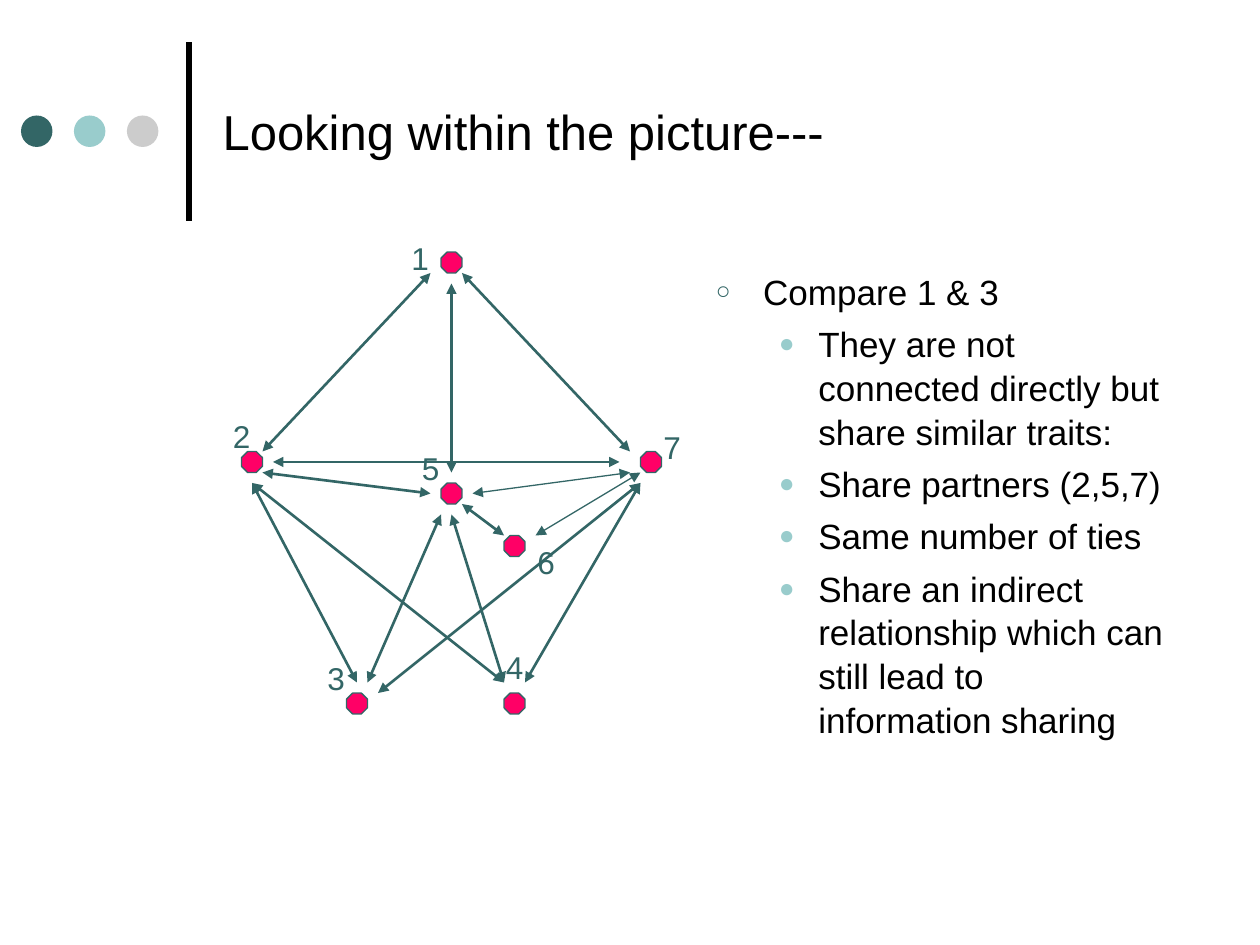
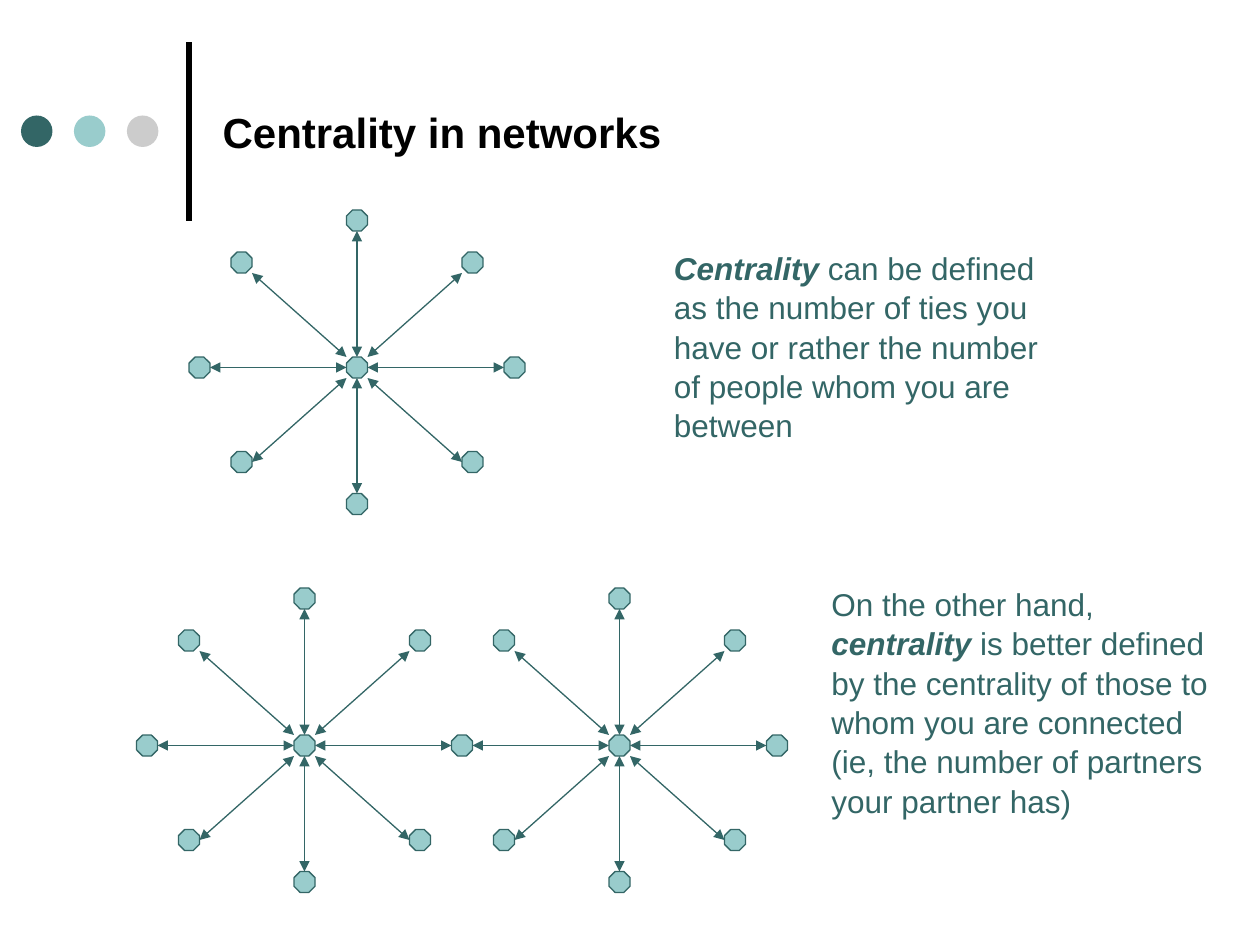
from lxml import etree
from pptx import Presentation
from pptx.dml.color import RGBColor
from pptx.enum.shapes import MSO_CONNECTOR, MSO_SHAPE
from pptx.enum.text import MSO_ANCHOR, PP_ALIGN
from pptx.oxml.ns import qn
from pptx.util import Pt

BLACK = RGBColor(0x00, 0x00, 0x00)
TEAL = RGBColor(0x33, 0x66, 0x66)
AQUA = RGBColor(0x99, 0xCC, 0xCC)
GREY = RGBColor(0xCC, 0xCC, 0xCC)
PINK = RGBColor(0xFF, 0x00, 0x66)
OVAL, OCTAGON = MSO_SHAPE.OVAL, MSO_SHAPE.OCTAGON
STRAIGHT = MSO_CONNECTOR.STRAIGHT
MIDDLE, LEFT = MSO_ANCHOR.MIDDLE, PP_ALIGN.LEFT
FONT = "Arial"
NODE = 12
HALF = NODE / 2
THIN, THICK = 0.75, 1.5

TITLES = [("Looking within the picture---", 28, False),
          ("Centrality in networks", 24, True)]

NOTES = [
    (0, "Compare 1 & 3"),
    (1, "They are not connected directly but share similar traits:"),
    (1, "Share partners (2,5,7)"),
    (1, "Same number of ties"),
    (1, "Share an indirect relationship which can still lead to information sharing"),
]
BULLETS = [("○", TEAL, 70, 27, 27), ("●", AQUA, 75, 58.5, 22.5)]

PEOPLE = {
    "1": ((258, 150), (228, 132)),
    "2": ((144, 264), (126, 234)),
    "3": ((204, 402), (180, 372)),
    "4": ((294, 402), (282, 366)),
    "5": ((258, 282), (234, 252)),
    "6": ((294, 312), (300, 306)),
    "7": ((372, 264), (372, 240)),
}
TIES = [
    ((264, 156), (360, 258), THICK),
    ((258, 162), (258, 270), THICK),
    ((264, 288), (288, 306), THICK),
    ((156, 264), (354, 264), THICK),
    ((246, 156), (150, 258), THICK),
    ((150, 270), (246, 282), THICK),
    ((360, 270), (270, 282), THIN),
    ((366, 270), (306, 306), THIN),
    ((366, 276), (300, 390), THICK),
    ((258, 294), (288, 390), THICK),
    ((252, 294), (210, 390), THICK),
    ((366, 276), (216, 396), THICK),
    ((144, 276), (288, 390), THICK),
    ((144, 276), (204, 390), THICK),
]

SPOKES = [
    ((0, -84), (0, -78)), ((0, 78), (0, 72)),
    ((-90, 0), (-84, 0)), ((90, 0), (84, 0)),
    ((-66, -60), (-60, -54)), ((66, -60), (60, -54)),
    ((-66, 54), (-60, 54)), ((66, 54), (60, 54)),
]
HUBS = [(204, 210), (174, 426), (354, 426)]

TEXTS = [
    ((378, 138, 240, 115), [
        ("Centrality", True),
        (" can be defined as the number of ties you have or rather the number "
         "of people whom you are between", False)]),
    ((468, 330, 234, 137), [
        ("On the other hand, ", False),
        ("centrality", True),
        (" is better defined by the centrality of those to whom you are "
         "connected (ie, the number of partners your partner has)", False)]),
]


def style(par, size, color, bold=False):
    font = par.font
    font.name, font.size, font.bold = FONT, Pt(size), bold
    font.color.rgb = color


def draw(shapes, kind, left, top, size, fill, edge=None):
    shape = shapes.add_shape(kind, Pt(left), Pt(top), Pt(size), Pt(size))
    shape.shadow.inherit = False
    shape.fill.solid()
    shape.fill.fore_color.rgb = fill
    if edge is None:
        shape.line.fill.background()
    else:
        shape.line.color.rgb = edge
        shape.line.width = Pt(THIN)
    return shape


def node(shapes, x, y, fill):
    draw(shapes, OCTAGON, x - HALF, y - HALF, NODE, fill, TEAL)


def link(shapes, start, end, width, color=TEAL, arrows=True):
    line = shapes.add_connector(STRAIGHT, *map(Pt, start + end))
    line.line.color.rgb = color
    line.line.width = Pt(width)
    if arrows:
        outline = line.line._get_or_add_ln()
        for tag in ("a:headEnd", "a:tailEnd"):
            etree.SubElement(outline, qn(tag), type="triangle")
    etree.SubElement(line.element.spPr, qn("a:effectLst"))
    return line


def write(shapes, left, top, width, height):
    frame = shapes.add_textbox(Pt(left), Pt(top), Pt(width), Pt(height)).text_frame
    frame.word_wrap = True
    par = frame.paragraphs[0]
    par.line_spacing = 1.04
    return frame, par


def bullet(par, level):
    char, color, size, margin, hang = BULLETS[level]
    props = par._p.get_or_add_pPr()
    props.set("marL", str(Pt(margin)))
    props.set("indent", str(-Pt(hang)))
    tint = etree.SubElement(props, qn("a:buClr"))
    etree.SubElement(tint, qn("a:srgbClr"), val=str(color))
    etree.SubElement(props, qn("a:buSzPct"), val=str(size * 1000))
    etree.SubElement(props, qn("a:buFont"), typeface=FONT)
    etree.SubElement(props, qn("a:buChar"), char=char)


def brand(layout, shapes):
    parts = [link(shapes, (108, 126), (108, 24), 3, BLACK, False)]
    for i, color in enumerate((TEAL, AQUA, GREY)):
        parts.append(draw(shapes, OVAL, 12 + i * 30.25, 66, 18, color))
    for part in parts:
        layout.shapes.element.append(part.element)


def head(slide, text, size, bold):
    title = slide.shapes.title
    title.left, title.top, title.width, title.height = map(Pt, (120, 15, 552, 120))
    frame = title.text_frame
    frame.text = text
    frame.vertical_anchor = MIDDLE
    par = frame.paragraphs[0]
    par.alignment = LEFT
    style(par, size, BLACK, bold)


def compare(slide):
    frame, par = write(slide.shapes, 402, 150, 270, 324)
    for i, (level, text) in enumerate(NOTES):
        if i:
            par = frame.add_paragraph()
            par.line_spacing = 1.04
            par.space_before = Pt(5)
        par.level = level
        par.text = text
        bullet(par, level)
        style(par, 20, BLACK)
    shapes = slide.shapes.add_group_shape().shapes
    for center, _ in PEOPLE.values():
        node(shapes, *center, PINK)
    for name, (_, spot) in PEOPLE.items():
        _, par = write(shapes, *spot, 24, 29)
        par.text = name
        style(par, 18, TEAL)
    for start, end, width in TIES:
        link(shapes, start, end, width)


def toward(value):
    return HALF * ((value > 0) - (value < 0))


def star(slide, x, y, taken):
    shapes = slide.shapes.add_group_shape().shapes
    node(shapes, x, y, AQUA)
    for (dx, dy), (tipx, tipy) in SPOKES:
        spot = (x + dx, y + dy)
        if spot not in taken:
            node(shapes, *spot, AQUA)
            taken.add(spot)
        link(shapes, (x + toward(dx), y + toward(dy)), (x + tipx, y + tipy), THIN)


def central(slide):
    taken = set()
    for hub in HUBS:
        star(slide, *hub, taken)
    for box, runs in TEXTS:
        _, par = write(slide.shapes, *box)
        style(par, 18, TEAL)
        for text, strong in runs:
            run = par.add_run()
            run.text = text
            if strong:
                run.font.bold = run.font.italic = True


def main():
    deck = Presentation()
    deck.slide_width, deck.slide_height = Pt(720), Pt(540)
    layout = deck.slide_layouts[5]
    slides = [deck.slides.add_slide(layout) for _ in TITLES]
    brand(layout, slides[0].shapes)
    for slide, title in zip(slides, TITLES):
        head(slide, *title)
    compare(slides[0])
    central(slides[1])
    deck.save("out.pptx")


if __name__ == "__main__":
    main()
